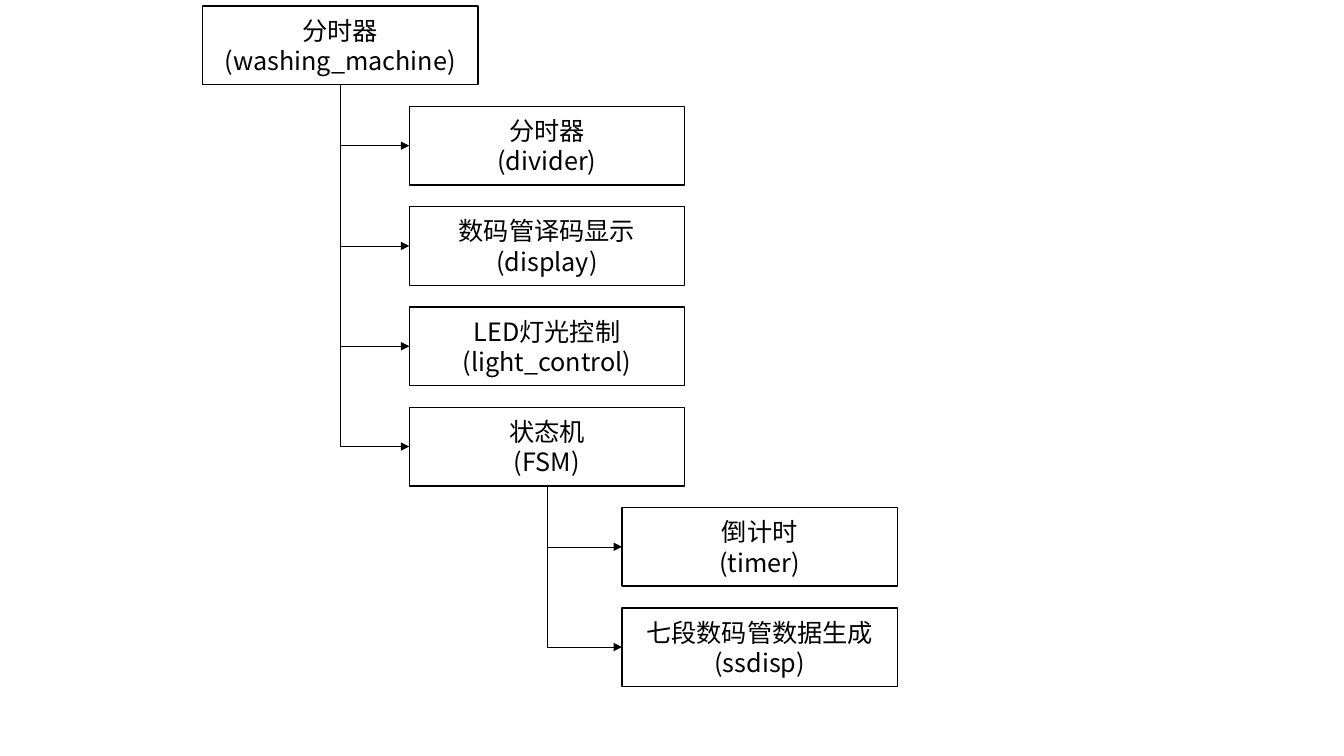
import pptx
import pptx.util
import pptx.dml.color
import pptx.enum.shapes
import pptx.enum.text
import pptx.oxml
import pptx.oxml.ns

# Modules from top to bottom: (title, module name, level, parent module)
MODULES = [
    ("分时器", "washing_machine", 0, None),
    ("分时器", "divider", 1, "washing_machine"),
    ("数码管译码显示", "display", 1, "washing_machine"),
    ("LED灯光控制", "light_control", 1, "washing_machine"),
    ("状态机", "FSM", 1, "washing_machine"),
    ("倒计时", "timer", 2, "FSM"),
    ("七段数码管数据生成", "ssdisp", 2, "FSM"),
]
LEVEL_LEFT = [2.01, 4.06, 6.17]
FIRST_TOP, LAST_TOP = 0.06, 6.03
ROW_STEP = (LAST_TOP - FIRST_TOP) / (len(MODULES) - 1)
BOX_WIDTH, BOX_HEIGHT = 2.73, 0.78
FONT = "Noto Sans CJK SC"
INK, PAPER = "000000", "FFFFFF"
BOTTOM_SITE, LEFT_SITE = 2, 1

inch = pptx.util.Inches


def color(hex_text):
    """Turn a hex string into a colour."""
    return pptx.dml.color.RGBColor.from_string(hex_text)


def add_xml(parent, tag, **attributes):
    """Append an element of the drawing namespace to parent."""
    element = pptx.oxml.parse_xml(f"<a:{tag} {pptx.oxml.ns.nsdecls('a')}/>")
    for name, value in attributes.items():
        element.set(name, value)
    parent.append(element)


def write(frame, lines, size=18, font=FONT, ink=INK):
    """Write centred lines, one paragraph each, into a text frame."""
    frame.word_wrap = True
    frame.vertical_anchor = pptx.enum.text.MSO_ANCHOR.MIDDLE
    for index, line in enumerate(lines):
        paragraph = frame.add_paragraph() if index else frame.paragraphs[0]
        paragraph.alignment = pptx.enum.text.PP_ALIGN.CENTER
        run = paragraph.add_run()
        run.text = line
        run.font.size = pptx.util.Pt(size)
        run.font.name = font
        run.font.color.rgb = color(ink)
        add_xml(run.font._element, "ea", typeface=font)


def add_module(slide, row, title, name, level):
    """Draw the box of one module on its row and level."""
    box = slide.shapes.add_shape(
        pptx.enum.shapes.MSO_SHAPE.RECTANGLE,
        inch(LEVEL_LEFT[level]), inch(FIRST_TOP + row * ROW_STEP),
        inch(BOX_WIDTH), inch(BOX_HEIGHT))
    box.shadow.inherit = False
    box.fill.solid()
    box.fill.fore_color.rgb = color(PAPER)
    box.line.color.rgb = color(INK)
    box.line.width = pptx.util.Pt(1)
    write(box.text_frame, [title, f"({name})"])
    return box


def add_branch(slide, parent, child):
    """Run an arrow down from the parent and right into the child."""
    start_x, start_y = parent.left + parent.width // 2, parent.top + parent.height
    end_x, end_y = child.left, child.top + child.height // 2
    branch = slide.shapes.add_connector(
        pptx.enum.shapes.MSO_CONNECTOR.ELBOW, start_x, start_y, end_x, end_y)
    branch.begin_connect(parent, BOTTOM_SITE)
    branch.end_connect(child, LEFT_SITE)
    branch.line.color.rgb = color(INK)
    branch.line.width = pptx.util.Pt(0.5)

    # A one-bend connector lies on its side, so its width is the drop.
    across, drop = end_x - start_x, end_y - start_y
    branch.width, branch.height = drop, across
    branch.left = (start_x + end_x - drop) // 2
    branch.top = (start_y + end_y - across) // 2
    properties = branch._element.spPr
    properties.find(pptx.oxml.ns.qn("a:prstGeom")).set("prst", "bentConnector2")
    frame = properties.find(pptx.oxml.ns.qn("a:xfrm"))
    frame.set("rot", str(270 * 60000))
    frame.set("flipH", "1")
    add_xml(branch.line._get_or_add_ln(), "tailEnd", type="triangle")
    add_xml(properties, "effectLst")


deck = pptx.Presentation()
deck.slide_width, deck.slide_height = inch(13.33), inch(7.5)
slide = deck.slides.add_slide(deck.slide_layouts[6])

boxes = {}
for row, (title, name, level, parent) in enumerate(MODULES):
    boxes[name] = add_module(slide, row, title, name, level)
    if parent:
        add_branch(slide, boxes[parent], boxes[name])

deck.save("out.pptx")
